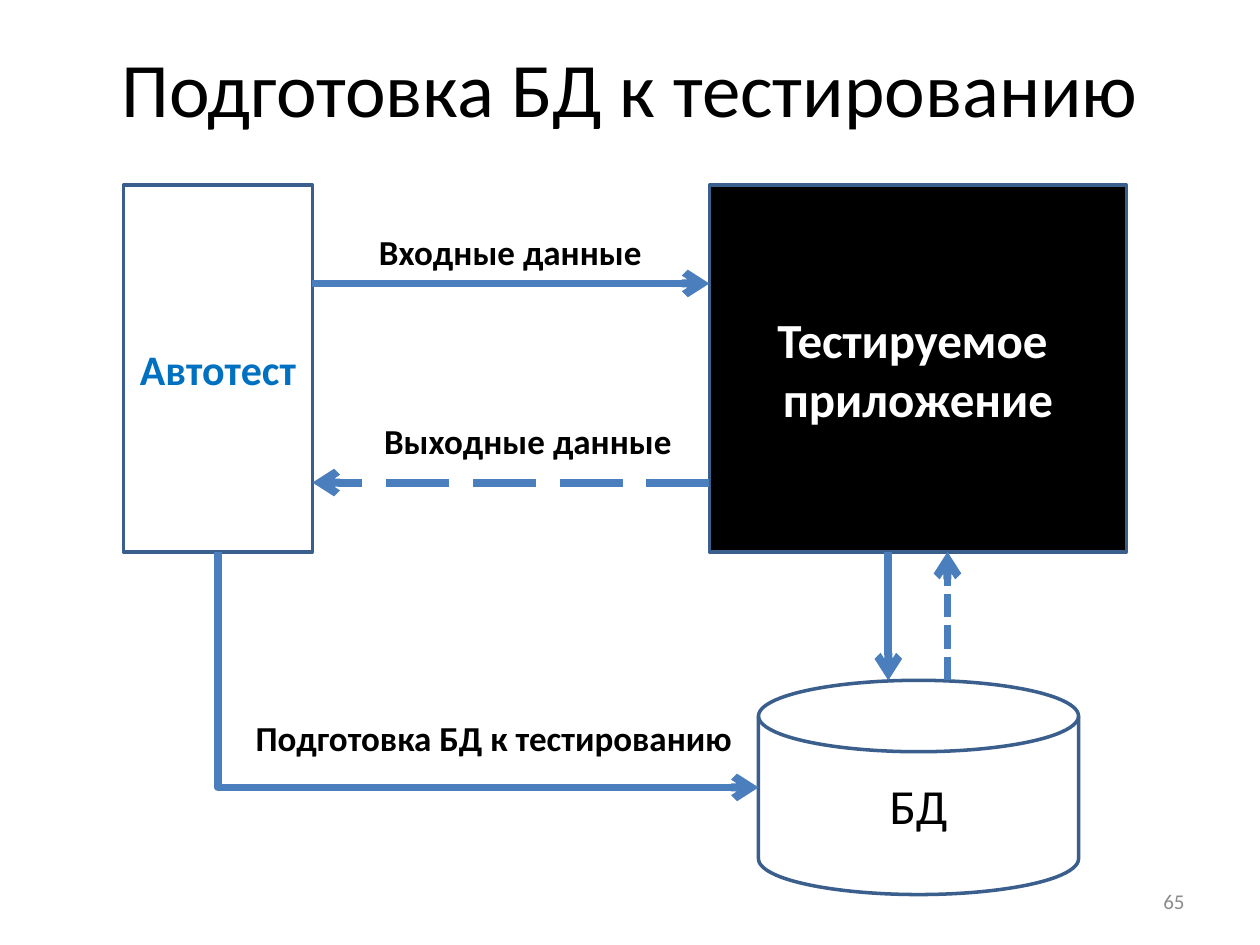
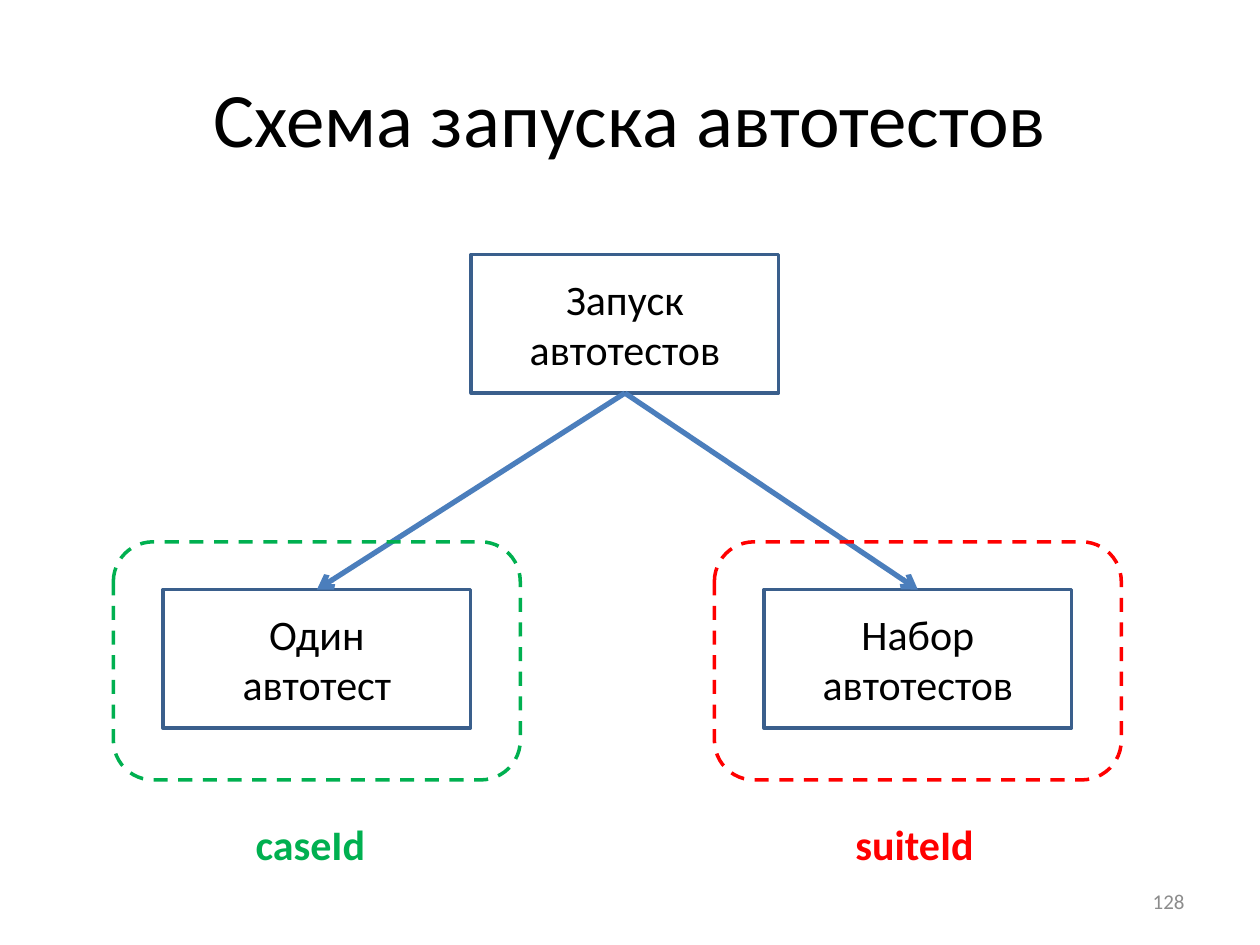
from dataclasses import dataclass
from typing import Optional

from lxml import etree
from pptx import Presentation
from pptx.dml.color import RGBColor
from pptx.enum.dml import MSO_LINE
from pptx.enum.shapes import MSO_CONNECTOR, MSO_SHAPE
from pptx.enum.text import MSO_ANCHOR, MSO_AUTO_SIZE, PP_ALIGN
from pptx.oxml.ns import qn
from pptx.util import Inches, Pt

# Grid: 100 columns by 75 rows of square cells
CELL = Inches(0.1)
COLUMNS, ROWS = 100, 75

# Shared style
FONT = "Calibri"
BLACK = RGBColor(0x00, 0x00, 0x00)
WHITE = RGBColor(0xFF, 0xFF, 0xFF)
GRAY = RGBColor(0x8C, 0x8C, 0x8C)
OUTLINE = RGBColor(0x3A, 0x5F, 0x8C)
ARROW = RGBColor(0x4B, 0x7E, 0xBC)
BLUE = RGBColor(0x00, 0x70, 0xC0)
GREEN = RGBColor(0x00, 0xB0, 0x50)
RED = RGBColor(0xFF, 0x00, 0x00)

RECT, ROUNDED, DISK = (MSO_SHAPE.RECTANGLE, MSO_SHAPE.ROUNDED_RECTANGLE,
                       MSO_SHAPE.FLOWCHART_MAGNETIC_DISK)
STRAIGHT, ELBOW = MSO_CONNECTOR.STRAIGHT, MSO_CONNECTOR.ELBOW
DASH, LONG_DASH, SHORT_DASH = MSO_LINE.DASH, MSO_LINE.LONG_DASH, MSO_LINE.SQUARE_DOT
LEFT, CENTER, RIGHT = PP_ALIGN.LEFT, PP_ALIGN.CENTER, PP_ALIGN.RIGHT
MIDDLE, FIT = MSO_ANCHOR.MIDDLE, MSO_AUTO_SIZE.SHAPE_TO_FIT_TEXT


@dataclass(frozen=True)
class Area:
    """A rectangle in grid columns and rows."""
    col: float
    row: float
    cols: float
    rows: float

    @property
    def right(self) -> float:
        return self.col + self.cols

    @property
    def bottom(self) -> float:
        return self.row + self.rows

    @property
    def mid_col(self) -> float:
        return self.col + self.cols / 2

    @property
    def mid_row(self) -> float:
        return self.row + self.rows / 2

    def emu(self) -> tuple[int, ...]:
        return cells(self.col, self.row, self.cols, self.rows)


@dataclass(frozen=True)
class TextStyle:
    size: float
    color: RGBColor = BLACK
    bold: bool = False
    align: PP_ALIGN = CENTER


@dataclass(frozen=True)
class Node:
    area: Area
    text: str = ""
    style: TextStyle = TextStyle(24)
    kind: MSO_SHAPE = RECT
    fill: Optional[RGBColor] = None
    outline: RGBColor = OUTLINE
    dash: Optional[MSO_LINE] = None


@dataclass(frozen=True)
class Arrow:
    start: tuple[float, float]
    end: tuple[float, float]
    dash: Optional[MSO_LINE] = None
    width: float = 4.5


@dataclass(frozen=True)
class Label:
    area: Area
    text: str
    style: TextStyle


@dataclass(frozen=True)
class Branch:
    text: str
    key: str
    key_area: Area
    frame: Area
    color: RGBColor


TITLE_STYLE = TextStyle(44)
NUMBER_STYLE = TextStyle(12, GRAY, align=RIGHT)
FLOW_STYLE = TextStyle(20, bold=True, align=LEFT)
NUMBER_AREA = Area(71.7, 69.5, 23.3, 4)


def cells(*lengths: float) -> tuple[int, ...]:
    return tuple(round(length * CELL) for length in lengths)


def write(frame, text: str, style: TextStyle) -> None:
    frame.text = text
    for paragraph in frame.paragraphs:
        paragraph.alignment = style.align
        for run in paragraph.runs:
            run.font.name = FONT
            run.font.size = Pt(style.size)
            run.font.bold = style.bold
            run.font.color.rgb = style.color


def draw_fixed_text(slide, area: Area, text: str, style: TextStyle) -> None:
    frame = slide.shapes.add_textbox(*area.emu()).text_frame
    frame.word_wrap = True
    frame.vertical_anchor = MIDDLE
    write(frame, text, style)


def draw_label(slide, label: Label) -> None:
    frame = slide.shapes.add_textbox(*label.area.emu()).text_frame
    frame.word_wrap = False
    frame.auto_size = FIT
    write(frame, label.text, label.style)


def draw_node(slide, node: Node) -> None:
    shape = slide.shapes.add_shape(node.kind, *node.area.emu())
    shape.shadow.inherit = False
    if node.fill is None:
        shape.fill.background()
    else:
        shape.fill.solid()
        shape.fill.fore_color.rgb = node.fill
    shape.line.color.rgb = node.outline
    shape.line.width = Pt(2)
    if node.dash is not None:
        shape.line.dash_style = node.dash
    if node.text:
        shape.text_frame.word_wrap = True
        shape.text_frame.vertical_anchor = MIDDLE
        write(shape.text_frame, node.text, node.style)


def style_arrow(connector, arrow: Arrow) -> None:
    connector.line.color.rgb = ARROW
    connector.line.width = Pt(arrow.width)
    if arrow.dash is not None:
        connector.line.dash_style = arrow.dash
    etree.SubElement(connector.line._get_or_add_ln(), qn("a:tailEnd"), type="arrow")
    etree.SubElement(connector._element.spPr, qn("a:effectLst"))


def draw_arrow(slide, arrow: Arrow) -> None:
    ends = cells(*arrow.start, *arrow.end)
    style_arrow(slide.shapes.add_connector(STRAIGHT, *ends), arrow)


def draw_corner_arrow(slide, arrow: Arrow) -> None:
    """Goes down, then right: a mirrored one-bend connector turned by 270 degrees."""
    (x1, y1), (x2, y2) = arrow.start, arrow.end
    mid_x, mid_y = (x1 + x2) / 2, (y1 + y2) / 2
    half_width, half_height = (y2 - y1) / 2, (x2 - x1) / 2
    connector = slide.shapes.add_connector(ELBOW, *cells(
        mid_x + half_width, mid_y - half_height,
        mid_x - half_width, mid_y + half_height))
    properties = connector._element.spPr
    properties.find(qn("a:xfrm")).set("rot", str(270 * 60000))
    properties.find(qn("a:prstGeom")).set("prst", "bentConnector2")
    style_arrow(connector, arrow)


def start_slide(deck, title: str, title_row: float, number: int):
    slide = deck.slides.add_slide(deck.slide_layouts[6])
    draw_fixed_text(slide, Area(5, title_row, 90, 12.5), title, TITLE_STYLE)
    draw_fixed_text(slide, NUMBER_AREA, str(number), NUMBER_STYLE)
    return slide


def build_database_slide(deck) -> None:
    topic = "Подготовка БД к тестированию"
    slide = start_slide(deck, topic, 0.6, 65)

    # Participants
    database = Area(60.2, 54, 25.4, 17)
    application = Area(56.3, 14.7, 33.1, 29.1)
    autotest = Area(9.8, 14.7, 15, 29.1)
    for node in (
        Node(database, "БД", TextStyle(28), DISK),
        Node(application, "Тестируемое \nприложение",
             TextStyle(28, WHITE, bold=True), fill=BLACK),
        Node(autotest, "Автотест", TextStyle(24, BLUE, bold=True)),
    ):
        draw_node(slide, node)

    # Data flows
    input_row, output_row = 22.5, 38.3
    query_col, reply_col = 70.5, 75.2
    for arrow in (
        Arrow((autotest.right, input_row), (application.col, input_row)),
        Arrow((application.col, output_row), (autotest.right, output_row), LONG_DASH),
        Arrow((query_col, application.bottom), (query_col, database.row)),
        Arrow((reply_col, database.row), (reply_col, application.bottom), SHORT_DASH),
    ):
        draw_arrow(slide, arrow)
    draw_corner_arrow(slide, Arrow((autotest.mid_col, autotest.bottom),
                                   (database.col, database.mid_row)))

    # Flow names
    for area, text in (
        (Area(29.1, 17.8, 23, 4.4), "Входные данные"),
        (Area(29.5, 32.8, 25, 4.4), "Выходные данные"),
        (Area(19.3, 56.4, 40, 4.4), topic),
    ):
        draw_label(slide, Label(area, text, FLOW_STYLE))


def build_launch_slide(deck) -> None:
    slide = start_slide(deck, "Схема запуска автотестов", 3, 128)
    box_cols, box_rows = 24.4, 11
    launch = Area(37.4, 20.2, box_cols, box_rows)
    draw_node(slide, Node(launch, "Запуск автотестов"))

    # Ways to launch, each in a dashed frame with its key below
    branches = (
        Branch("Один\vавтотест", "caseId", Area(19.3, 64.5, 10.8, 5),
               Area(9, 43, 32.3, 18.9), GREEN),
        Branch("Набор\vавтотестов", "suiteId", Area(66.9, 64.5, 12.7, 5),
               Area(56.7, 43, 32.3, 18.9), RED),
    )
    for branch in branches:
        frame = branch.frame
        box = Area(frame.mid_col - box_cols / 2, frame.row + 3.8, box_cols, box_rows)
        draw_node(slide, Node(box, branch.text))
        draw_arrow(slide, Arrow((launch.mid_col, launch.bottom),
                                (box.mid_col, box.row), width=3))
        draw_node(slide, Node(frame, kind=ROUNDED, outline=branch.color, dash=DASH))
        draw_label(slide, Label(branch.key_area, branch.key,
                                TextStyle(24, branch.color, bold=True, align=LEFT)))


def main() -> None:
    deck = Presentation()
    deck.slide_width, deck.slide_height = COLUMNS * CELL, ROWS * CELL
    build_database_slide(deck)
    build_launch_slide(deck)
    deck.save("out.pptx")


if __name__ == "__main__":
    main()
